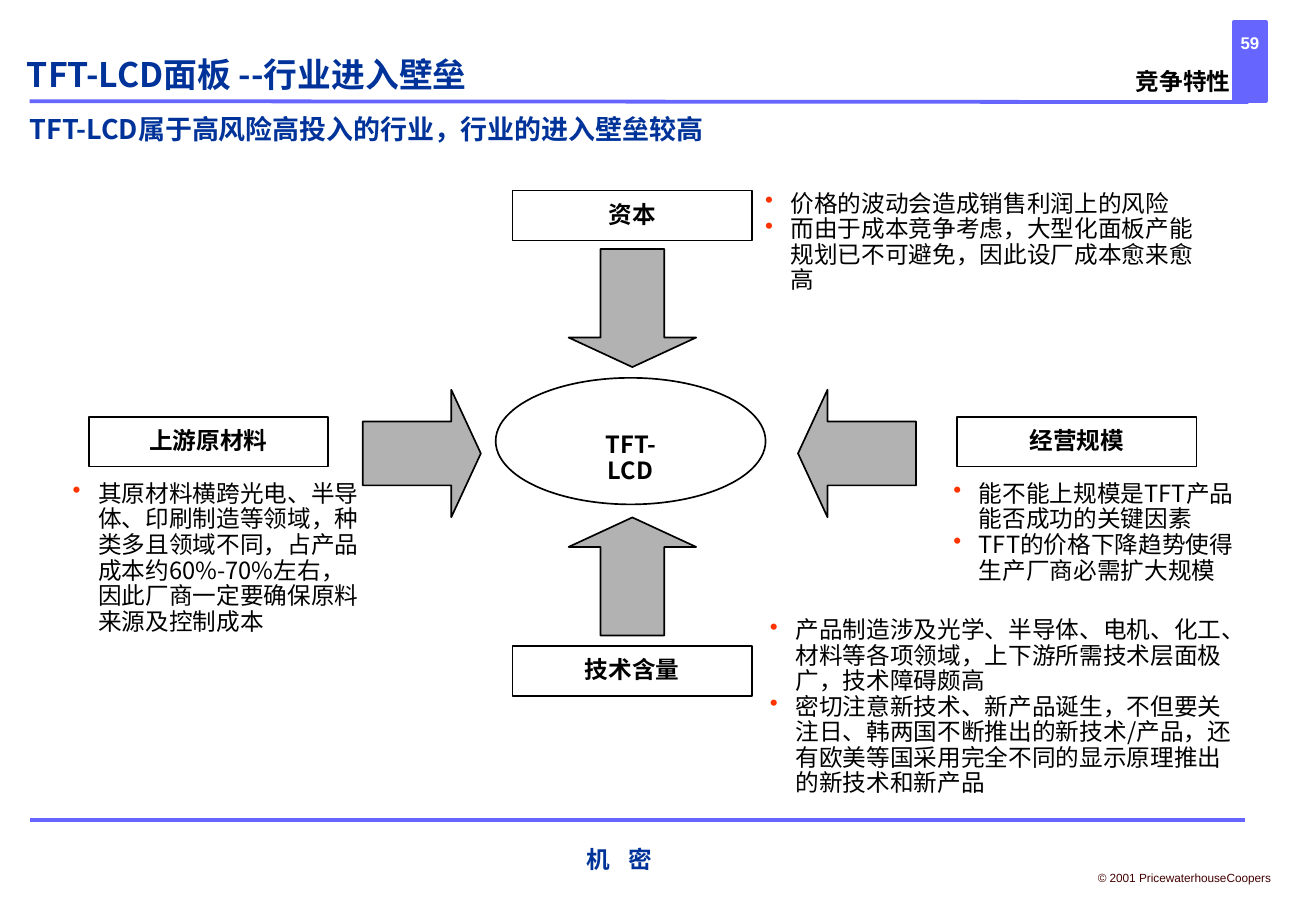
"""Build the slide on entry barriers in the TFT-LCD panel industry."""
from lxml import etree
from pptx import Presentation
from pptx.dml.color import RGBColor
from pptx.enum.shapes import MSO_CONNECTOR, MSO_SHAPE
from pptx.enum.text import MSO_ANCHOR, MSO_AUTO_SIZE, PP_ALIGN
from pptx.oxml.ns import qn
from pptx.util import Pt

NAVY = RGBColor(0x00, 0x33, 0x99)
VIOLET = RGBColor(0x66, 0x66, 0xFF)
GREY = RGBColor(0xB2, 0xB2, 0xB2)
MAROON = RGBColor(0x44, 0x00, 0x00)
ORANGE = RGBColor(0xFF, 0x33, 0x00)
BLACK = RGBColor(0x00, 0x00, 0x00)
WHITE = RGBColor(0xFF, 0xFF, 0xFF)
LEFT, CENTER = PP_ALIGN.LEFT, PP_ALIGN.CENTER
TOP, MIDDLE, BOTTOM = MSO_ANCHOR.TOP, MSO_ANCHOR.MIDDLE, MSO_ANCHOR.BOTTOM
RECTANGLE, OVAL = MSO_SHAPE.RECTANGLE, MSO_SHAPE.OVAL
DOWN, UP = MSO_SHAPE.DOWN_ARROW, MSO_SHAPE.UP_ARROW
RIGHT_ARROW, LEFT_ARROW = MSO_SHAPE.RIGHT_ARROW, MSO_SHAPE.LEFT_ARROW
STRAIGHT, NO_AUTOSIZE = MSO_CONNECTOR.STRAIGHT, MSO_AUTO_SIZE.NONE
CJK_FONT = "Noto Sans CJK SC"
INSETS = (7.2, 3.6, 7.2, 3.6)
NO_INSETS = (0, 0, 0, 0)


def write(shape, texts, font, align=CENTER, anchor=MIDDLE, insets=INSETS,
          spacing=1.0, wrap=True, bullets=False, tracking=0):
    frame = shape.text_frame
    sides = ("margin_left", "margin_top", "margin_right", "margin_bottom")
    frame_format = dict(zip(sides, map(Pt, insets)), auto_size=NO_AUTOSIZE,
                        word_wrap=wrap, vertical_anchor=anchor)
    for name, value in frame_format.items():
        setattr(frame, name, value)
    for index, text in enumerate(texts):
        paragraph = frame.paragraphs[0] if index == 0 else frame.add_paragraph()
        paragraph.alignment = align
        paragraph.line_spacing = spacing
        if bullets:
            properties = paragraph._p.get_or_add_pPr()
            properties.set("marL", str(Pt(15.1)))
            properties.set("indent", str(-Pt(15.1)))
            color = etree.SubElement(properties, qn("a:buClr"))
            etree.SubElement(color, qn("a:srgbClr"), val=str(ORANGE))
            etree.SubElement(properties, qn("a:buChar"), char="•")
        run = paragraph.add_run()
        run.text = text
        for name, value in font.items():
            if name == "color":
                run.font.color.rgb = value
            else:
                setattr(run.font, name, value)
        run_properties = run._r.get_or_add_rPr()
        etree.SubElement(run_properties, qn("a:ea"), typeface=CJK_FONT)
        if tracking:
            run_properties.set("spc", str(tracking))


def add_figure(kind, box, fill=None, line=BLACK, width=1):
    shape = slide.shapes.add_shape(kind, *map(Pt, box))
    shape.shadow.inherit = False
    if fill is None:
        shape.fill.background()
    else:
        shape.fill.solid()
        shape.fill.fore_color.rgb = fill
    shape.line.color.rgb = line
    shape.line.width = Pt(width)
    return shape


presentation = Presentation()
presentation.slide_width, presentation.slide_height = Pt(780), Pt(540)
slide = presentation.slides.add_slide(presentation.slide_layouts[5])

heading = {"name": CJK_FONT, "size": Pt(20), "bold": True, "color": NAVY}
subheading = {**heading, "size": Pt(16)}
label = {**heading, "size": Pt(14), "color": BLACK}
body = {**label, "bold": False}
number = {"name": "Arial", "size": Pt(10), "bold": True, "color": WHITE}
confidential = {**number, "size": Pt(14), "color": NAVY}
copyright_font = {**number, "size": Pt(7), "bold": False, "color": MAROON}

page_tag = add_figure(RECTANGLE, (731.5, 13, 18.7, 46.8), VIOLET, VIOLET, 2.25)
write(page_tag, ["59"], number, anchor=TOP, insets=(0, 6.5, 0, 0), wrap=False)

for start_x, start_y, end_x, end_y in ((17.5, 60, 740, 60.5), (18, 486, 738, 486)):
    rule = slide.shapes.add_connector(
        STRAIGHT, Pt(start_x), Pt(start_y), Pt(end_x), Pt(end_y))
    rule.line.color.rgb = VIOLET
    rule.line.width = Pt(2.25)
    etree.SubElement(rule._element.spPr, qn("a:effectLst"))

title = slide.shapes.title
title.left, title.top, title.width, title.height = Pt(16), Pt(13), Pt(699), Pt(43)
write(title, ["TFT-LCD面板 --行业进入壁垒"], heading, LEFT, BOTTOM, NO_INSETS)

captions = [
    ((17.5, 59, 744.5, 26.7), "TFT-LCD属于高风险高投入的行业，行业的进入壁垒较高", subheading,
     {"align": LEFT, "anchor": BOTTOM, "insets": NO_INSETS}),
    ((666, 38.2, 70.6, 22.3), "竞争特性", label,
     {"anchor": TOP, "spacing": 0.9, "wrap": False}),
    ((341.3, 496.8, 51.8, 24.5), "机 密", confidential,
     {"wrap": False, "tracking": 400}),
    ((643.7, 512.6, 116.6, 15.8), "© 2001 PricewaterhouseCoopers", copyright_font,
     {"wrap": False}),
]
for box, text, font, layout in captions:
    write(slide.shapes.add_textbox(*map(Pt, box)), [text], font, **layout)

barriers = [
    ("资本", (303.8, 113), (446.4, 110.2, 270.7, 67.7),
     ["价格的波动会造成销售利润上的风险",
      "而由于成本竞争考虑，大型化面板产能规划已不可避免，因此设厂成本愈来愈高"]),
    ("上游原材料", (52.6, 247), (36, 282.2, 186.5, 97.9),
     ["其原材料横跨光电、半导体、印刷制造等领域，种类多且领域不同，"
      "占产品成本约60%-70%左右，因此厂商一定要确保原料来源及控制成本"]),
    ("经营规模", (567.4, 247), (558, 282.2, 187.2, 67.7),
     ["能不能上规模是TFT产品能否成功的关键因素",
      "TFT的价格下降趋势使得生产厂商必需扩大规模"]),
    ("技术含量", (303.8, 383), (449.3, 362.9, 295.9, 113),
     ["产品制造涉及光学、半导体、电机、化工、材料等各项领域，"
      "上下游所需技术层面极 广，技术障碍颇高",
      "密切注意新技术、新产品诞生，不但要关注日、韩两国不断推出的新技术/产品，"
      "还有欧美等国采用完全不同的显示原理推出的新技术和新产品"]),
]
for name, corner, notes_box, notes in barriers:
    write(add_figure(RECTANGLE, (*corner, 141.8, 29.5)), [name], label, spacing=0.9)
    write(slide.shapes.add_textbox(*map(Pt, notes_box)), notes, body, LEFT, TOP,
          spacing=0.9, bullets=True)

panel = add_figure(OVAL, (293.8, 224, 160, 75))
write(panel, ["TFT-LCD"], label, anchor=TOP, insets=(30, 22, 30, 0), spacing=0.9)

arrows = [(DOWN, 337, 147.6, 75.6, 70), (UP, 337, 306.7, 75.6, 70),
          (RIGHT_ARROW, 215, 231, 70, 75.6), (LEFT_ARROW, 473, 231, 70, 75.6)]
for kind, *box in arrows:
    arrow = add_figure(kind, box, GREY)
    arrow.adjustments[0], arrow.adjustments[1] = 0.5, 0.25

presentation.save("out.pptx")
